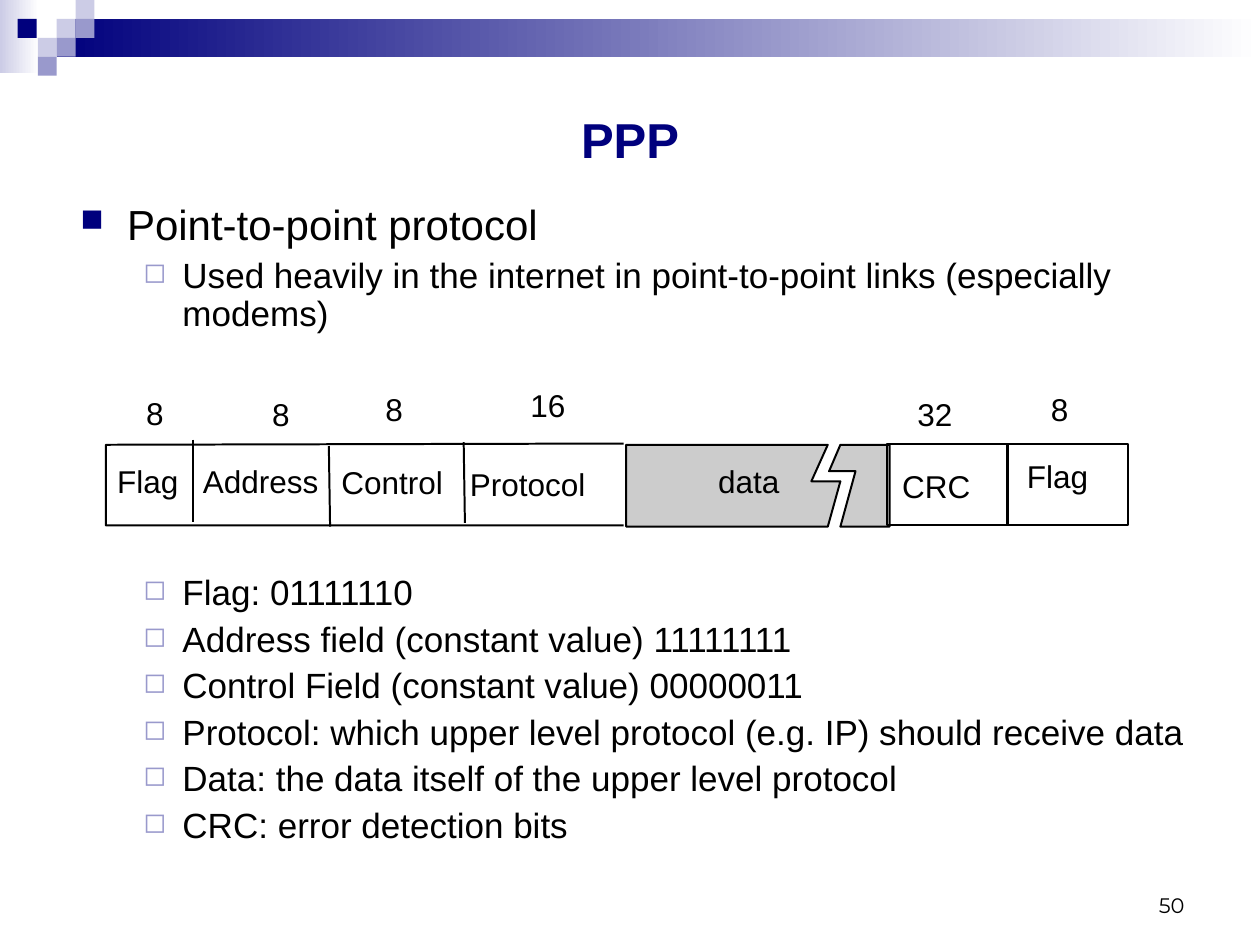
from typing import NamedTuple

from lxml.etree import SubElement
from pptx import Presentation
from pptx.dml.color import RGBColor
from pptx.enum.shapes import MSO_CONNECTOR, MSO_SHAPE
from pptx.enum.text import MSO_ANCHOR, PP_ALIGN
from pptx.oxml.ns import qn
from pptx.util import Inches, Pt

COLORS = {
    "navy": "00007D",
    "lavender": "9999CC",
    "pale": "CCCCE6",
    "white": "FFFFFF",
    "black": "000000",
    "gray": "CCCCCC",
}
LINE_WIDTH = Pt(1.13)
LABEL_HEIGHT = 0.28
SQUARE = 0.15


class Square(NamedTuple):
    left: float
    top: float
    color: str


class Label(NamedTuple):
    text: str
    left: float
    top: float
    width: float


class Bullet(NamedTuple):
    text: str
    level: int = 1
    before: float = 5


class BulletStyle(NamedTuple):
    char: str
    color: str
    percent: int
    margin: float
    indent: float
    size: float
    spacing: float


SQUARES = [
    Square(0.45, 0.15, "pale"),
    Square(0.6, 0, "pale"),
    Square(0.6, 0.15, "lavender"),
    Square(0.3, 0.3, "pale"),
    Square(0.14, 0.15, "navy"),
    Square(0.45, 0.3, "lavender"),
    Square(0.3, 0.45, "lavender"),
]
LABELS = [
    Label("8", 1.16, 3.15, 0.14),
    Label("8", 2.16, 3.16, 0.14),
    Label("8", 3.06, 3.12, 0.14),
    Label("16", 4.21, 3.09, 0.28),
    Label("32", 7.28, 3.16, 0.28),
    Label("8", 8.34, 3.12, 0.14),
    Label("Flag", 0.93, 3.69, 0.49),
    Label("Address", 1.61, 3.69, 0.92),
    Label("Control", 2.71, 3.7, 0.81),
    Label("Protocol", 3.73, 3.72, 0.92),
    Label("data", 5.7, 3.69, 0.49),
    Label("CRC", 7.16, 3.73, 0.6),
    Label("Flag", 8.15, 3.65, 0.49),
]
BULLETS = [
    Bullet("Point-to-point protocol", 0, 0),
    Bullet("Used heavily in the internet in point-to-point links (especially modems)"),
    Bullet("Flag: 01111110", before=138),
    Bullet("Address field (constant value) 11111111"),
    Bullet("Control Field (constant value) 00000011"),
    Bullet("Protocol: which upper level protocol (e.g. IP) should receive data"),
    Bullet("Data: the data itself of the upper level protocol"),
    Bullet("CRC: error detection bits"),
]
STYLES = [
    BulletStyle("■", "navy", 75, 0.37, -0.37, 24, 0.93),
    BulletStyle("◻", "lavender", 80, 0.81, -0.31, 20, 0.9),
]
DATA_LEFT = [(6.57, 4.18), (4.97, 4.18), (4.97, 3.53), (6.57, 3.53), (6.44, 3.82), (6.67, 3.82)]
DATA_RIGHT = [(6.67, 4.18), (7.06, 4.18), (7.06, 3.53), (6.67, 3.53), (6.58, 3.74), (6.79, 3.74)]
HEADER_FRAME = [(4.95, 3.52), (0.84, 3.53), (0.84, 4.17), (4.95, 4.17)]
DIVIDERS = [(1.53, 3.49, 1.53, 4.14), (2.61, 3.54, 2.62, 4.18), (3.68, 3.51, 3.69, 4.15)]
TRAILER_LEFTS = [7.04, 7.99]


def rgb(name: str) -> RGBColor:
    return RGBColor.from_string(COLORS[name])


def set_text(p, text: str, *, size: float, font: str = "Arial", color: str = "black",
             bold: bool = False, align=PP_ALIGN.LEFT, spacing: float = 0.93,
             before: float = 0) -> None:
    p.alignment = align
    p.line_spacing = spacing
    p.space_before = Pt(before)
    r = p.add_run()
    r.text = text
    r.font.size = Pt(size)
    r.font.name = font
    r.font.bold = bold
    r.font.color.rgb = rgb(color)


def format_shape(sp, fill: str | None = None, line: str | None = None) -> None:
    sp.shadow.inherit = False
    if fill:
        sp.fill.solid()
        sp.fill.fore_color.rgb = rgb(fill)
    else:
        sp.fill.background()
    if line:
        sp.line.color.rgb = rgb(line)
        sp.line.width = LINE_WIDTH
    else:
        sp.line.fill.background()


def add_box(s, left: float, top: float, width: float, height: float,
            fill: str | None = None, line: str | None = None):
    sp = s.shapes.add_shape(MSO_SHAPE.RECTANGLE, Inches(left), Inches(top),
                            Inches(width), Inches(height))
    format_shape(sp, fill, line)
    return sp


def add_gradient(s, left: float, top: float, width: float, height: float, start: str) -> None:
    sp = add_box(s, left, top, width, height)
    sp.fill.gradient()
    sp.fill.gradient_angle = 0
    for stop, color in zip(sp.fill.gradient_stops, (start, "white")):
        stop.color.rgb = rgb(color)


def add_outline(s, points: list[tuple[float, float]], fill: str | None, close: bool) -> None:
    emu = [(Inches(x), Inches(y)) for x, y in points]
    builder = s.shapes.build_freeform(*emu[0])
    builder.add_line_segments(emu[1:], close=close)
    format_shape(builder.convert_to_shape(), fill, "black")


def add_divider(s, x1: float, y1: float, x2: float, y2: float) -> None:
    line = s.shapes.add_connector(MSO_CONNECTOR.STRAIGHT, Inches(x1), Inches(y1),
                                  Inches(x2), Inches(y2))
    line.line.color.rgb = rgb("black")
    line.line.width = LINE_WIDTH
    SubElement(line._element.spPr, qn("a:effectLst"))


def add_text_frame(s, left: float, top: float, width: float, height: float):
    tf = s.shapes.add_textbox(Inches(left), Inches(top), Inches(width), Inches(height)).text_frame
    tf.word_wrap = True
    return tf


def add_label(s, label: Label) -> None:
    tf = add_text_frame(s, label.left, label.top, label.width, LABEL_HEIGHT)
    tf.word_wrap = False
    tf.margin_left = tf.margin_top = tf.margin_right = tf.margin_bottom = 0
    set_text(tf.paragraphs[0], label.text, size=18)


def add_bullet(p, bullet: Bullet) -> None:
    style = STYLES[bullet.level]
    p.level = bullet.level
    pPr = p._p.get_or_add_pPr()
    pPr.set("marL", str(Inches(style.margin)))
    pPr.set("indent", str(Inches(style.indent)))
    SubElement(SubElement(pPr, qn("a:buClr")), qn("a:srgbClr"), val=COLORS[style.color])
    SubElement(pPr, qn("a:buSzPct"), val=str(style.percent * 1000))
    SubElement(pPr, qn("a:buChar"), char=style.char)
    set_text(p, bullet.text, size=style.size, spacing=style.spacing, before=bullet.before)


def main() -> None:
    prs = Presentation()
    prs.slide_width, prs.slide_height = Inches(10), Inches(7.5)
    s = prs.slides.add_slide(prs.slide_layouts[5])

    add_gradient(s, 0, 0, 0.31, 0.58, "pale")
    add_gradient(s, 0.45, 0.15, 9.55, 0.3, "navy")
    for square in SQUARES:
        add_box(s, square.left, square.top, SQUARE, SQUARE, square.color)

    title = s.shapes.title
    title.left, title.top = Inches(0.5), Inches(0.75)
    title.width, title.height = Inches(9), Inches(0.75)
    title.text_frame.vertical_anchor = MSO_ANCHOR.MIDDLE
    set_text(title.text_frame.paragraphs[0], "PPP", size=28, color="navy", bold=True,
             align=PP_ALIGN.CENTER)

    tf = add_text_frame(s, 0.54, 1.56, 9, 5.61)
    for i, bullet in enumerate(BULLETS):
        add_bullet(tf.add_paragraph() if i else tf.paragraphs[0], bullet)

    add_outline(s, DATA_RIGHT, "gray", True)
    add_outline(s, DATA_LEFT, "gray", True)
    add_outline(s, HEADER_FRAME, None, False)
    for left in TRAILER_LEFTS:
        add_box(s, left, 3.52, 0.96, 0.65, line="black")
    for divider in DIVIDERS:
        add_divider(s, *divider)
    for label in LABELS:
        add_label(s, label)

    tf = add_text_frame(s, 7.17, 7, 2.33, 0.33)
    tf.vertical_anchor = MSO_ANCHOR.BOTTOM
    set_text(tf.paragraphs[0], "50", size=12, font="Montserrat", align=PP_ALIGN.RIGHT, spacing=1.0)

    prs.save("out.pptx")


if __name__ == "__main__":
    main()
